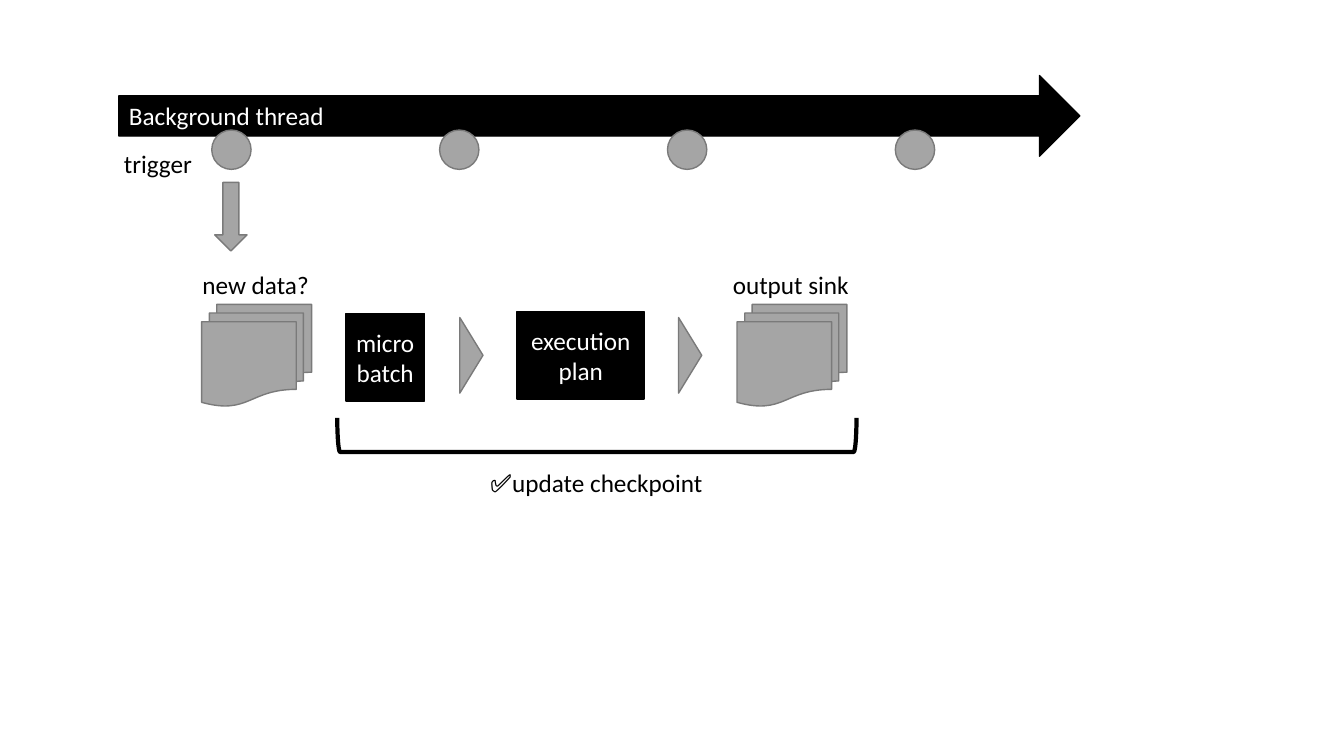
from pptx import Presentation
from pptx.dml.color import RGBColor
from pptx.enum.shapes import MSO_SHAPE
from pptx.enum.text import MSO_ANCHOR, MSO_AUTO_SIZE, PP_ALIGN
from pptx.util import Inches, Pt

COLORS = {"black": "000000", "white": "FFFFFF", "gray": "A5A5A5", "edge": "7A7A7A"}
FONT = "Calibri"


def color(name):
    """Look up a palette colour."""
    return RGBColor.from_string(COLORS[name])


def write(frame, text, ink, align):
    """Put text in a frame, one paragraph per line, and format it."""
    frame.text = text
    frame.vertical_anchor = MSO_ANCHOR.MIDDLE
    for paragraph in frame.paragraphs:
        paragraph.alignment = align
        for run in paragraph.runs:
            run.font.name = FONT
            run.font.size = Pt(18)
            run.font.color.rgb = color(ink)


def add_figure(slide, preset, left, top, width, height,
               fill="gray", edge="edge", weight=1, rotation=0):
    """Draw a preset shape; fill=None leaves it hollow."""
    figure = slide.shapes.add_shape(
        preset, Inches(left), Inches(top), Inches(width), Inches(height))
    figure.shadow.inherit = False
    figure.rotation = rotation
    if fill:
        figure.fill.solid()
        figure.fill.fore_color.rgb = color(fill)
    else:
        figure.fill.background()
    figure.line.color.rgb = color(edge)
    figure.line.width = Pt(weight)
    return figure


def add_block(slide, preset, text, left, top, width, height, align=PP_ALIGN.CENTER):
    """Draw a black shape with white text."""
    block = add_figure(slide, preset, left, top, width, height, "black", "black")
    write(block.text_frame, text, "white", align)


def add_label(slide, text, left, top, width, align=PP_ALIGN.LEFT, wrap=False):
    """Add a one-line black caption."""
    label = slide.shapes.add_textbox(
        Inches(left), Inches(top), Inches(width), Inches(0.4))
    frame = label.text_frame
    frame.word_wrap = wrap
    frame.auto_size = MSO_AUTO_SIZE.SHAPE_TO_FIT_TEXT
    write(frame, text, "black", align)


def add_timeline(slide):
    """Draw the background thread with its evenly spaced triggers."""
    add_block(slide, MSO_SHAPE.RIGHT_ARROW, "Background thread",
              1.18, 0.75, 9.53, 0.8, PP_ALIGN.LEFT)
    for index in range(4):
        add_figure(slide, MSO_SHAPE.OVAL, 2.1 + 2.26 * index, 1.29, 0.39, 0.39)
    add_label(slide, "trigger", 1.13, 1.42, 0.88)
    add_figure(slide, MSO_SHAPE.DOWN_ARROW, 2.13, 1.81, 0.32, 0.68)


def add_pipeline(slide):
    """Draw the steps from new data to the output sink."""
    add_label(slide, "new data?", 1.91, 2.62, 1.27)
    add_label(slide, "output sink", 7.17, 2.62, 1.36)
    for left in (2, 7.31):
        add_figure(slide, MSO_SHAPE.FLOWCHART_MULTIDOCUMENT, left, 3.02, 1.09, 1.01)
    add_block(slide, MSO_SHAPE.RECTANGLE, "micro\nbatch", 3.43, 3.11, 0.78, 0.87)
    add_block(slide, MSO_SHAPE.RECTANGLE, "execution plan", 5.13, 3.09, 1.26, 0.87)
    for left in (4.3, 6.47):
        add_figure(slide, MSO_SHAPE.ISOSCELES_TRIANGLE, left, 3.41, 0.75, 0.23,
                   rotation=90)


def add_checkpoint(slide):
    """Draw the bracket under the steps and its caption."""
    add_figure(slide, MSO_SHAPE.RIGHT_BRACKET, 5.75, 1.74, 0.34, 5.15,
               fill=None, edge="black", weight=3, rotation=90)
    add_label(slide, "\u2705update checkpoint", 3.69, 4.59, 4.45,
              PP_ALIGN.CENTER, wrap=True)


def main():
    """Build the slide and save it."""
    deck = Presentation()
    deck.slide_width = Inches(13.33)
    deck.slide_height = Inches(7.5)
    slide = deck.slides.add_slide(deck.slide_layouts[6])
    add_timeline(slide)
    add_pipeline(slide)
    add_checkpoint(slide)
    deck.save("out.pptx")


main()
